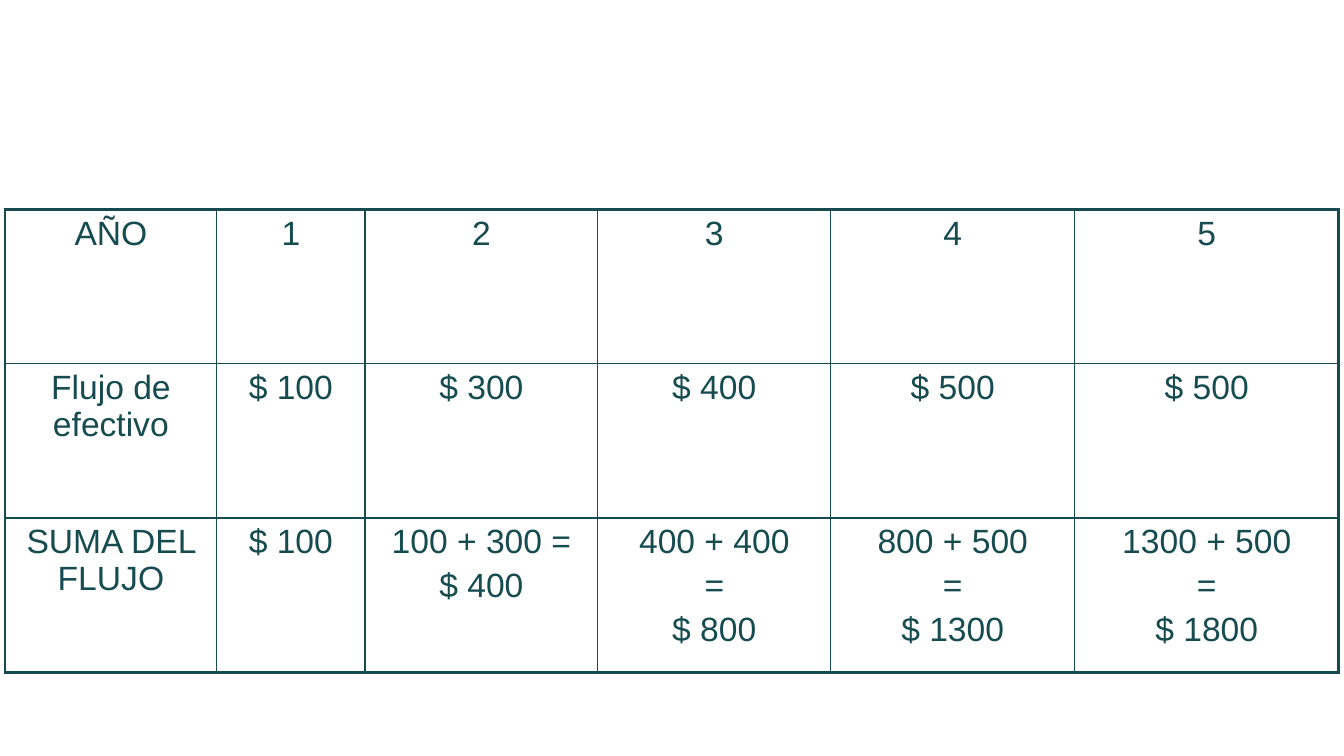
import dataclasses

import pptx
import pptx.dml.color
import pptx.enum.text
import pptx.oxml
import pptx.oxml.ns
import pptx.table
import pptx.util

Inches = pptx.util.Inches


@dataclasses.dataclass(frozen=True)
class Theme:
    ink: str = "164B4F"
    font: str = "Arial"
    text_size: float = 24
    paragraph_gap: float = 4.8
    outer_line: float = 2.25
    inner_line: float = 1


@dataclasses.dataclass(frozen=True)
class FlowRow:
    heading: str
    values: tuple[str, ...]


THEME = Theme()
LEFT, TOP = 0.05, 2.08
COLUMN_WIDTHS = (2.1, 1.47, 2.31, 2.31, 2.42, 2.62)
ROW_HEIGHT = 1.53
FLOW_ROWS = (
    FlowRow("AÑO", ("1", "2", "3", "4", "5")),
    FlowRow("Flujo de efectivo", ("$ 100", "$ 300", "$ 400", "$ 500", "$ 500")),
    FlowRow(
        "SUMA DEL FLUJO",
        (
            "$ 100",
            "100 + 300 =\n$ 400",
            "400 + 400\n=\n$ 800",
            "800 + 500\n=\n$ 1300",
            "1300 + 500\n=\n$ 1800",
        ),
    ),
)


def write_cell(cell: pptx.table._Cell, text: str) -> None:
    """Fill a cell with centred text."""
    cell.fill.background()
    cell.margin_left = cell.margin_right = Inches(0.13)
    cell.margin_top = cell.margin_bottom = Inches(0.05)
    cell.text_frame.text = text
    for para in cell.text_frame.paragraphs:
        para.alignment = pptx.enum.text.PP_ALIGN.CENTER
        para.space_before = pptx.util.Pt(THEME.paragraph_gap)
        for span in para.runs:
            span.font.name = THEME.font
            span.font.size = pptx.util.Pt(THEME.text_size)
            span.font.color.rgb = pptx.dml.color.RGBColor.from_string(THEME.ink)


def draw_borders(cell: pptx.table._Cell, outer_sides: dict[str, bool]) -> None:
    """Rule the four sides of a cell, heavier along the table edge."""
    properties = cell._tc.get_or_add_tcPr()
    for position, (side, is_outer) in enumerate(outer_sides.items()):
        points = THEME.outer_line if is_outer else THEME.inner_line
        border = pptx.oxml.parse_xml(
            f'<a:ln{side} {pptx.oxml.ns.nsdecls("a")} w="{pptx.util.Pt(points)}">'
            f'<a:solidFill><a:srgbClr val="{THEME.ink}"/></a:solidFill>'
            f'<a:prstDash val="solid"/></a:ln{side}>'
        )
        properties.insert(position, border)


def main() -> None:
    """Build the cash flow slide and save it."""
    deck = pptx.Presentation()
    deck.slide_width, deck.slide_height = Inches(13.33), Inches(7.5)
    page = deck.slides.add_slide(deck.slide_layouts[6])
    row_count, column_count = len(FLOW_ROWS), len(COLUMN_WIDTHS)
    table = page.shapes.add_table(
        row_count,
        column_count,
        Inches(LEFT),
        Inches(TOP),
        Inches(sum(COLUMN_WIDTHS)),
        Inches(ROW_HEIGHT * row_count),
    ).table
    table.first_row = table.horz_banding = False
    for column, width in zip(table.columns, COLUMN_WIDTHS):
        column.width = Inches(width)
    for row_index, flow in enumerate(FLOW_ROWS):
        table.rows[row_index].height = Inches(ROW_HEIGHT)
        for column_index, text in enumerate((flow.heading, *flow.values)):
            cell = table.cell(row_index, column_index)
            write_cell(cell, text)
            outer_sides = {
                "L": column_index == 0,
                "R": column_index == column_count - 1,
                "T": row_index == 0,
                "B": row_index == row_count - 1,
            }
            draw_borders(cell, outer_sides)
    deck.save("out.pptx")


if __name__ == "__main__":
    main()
